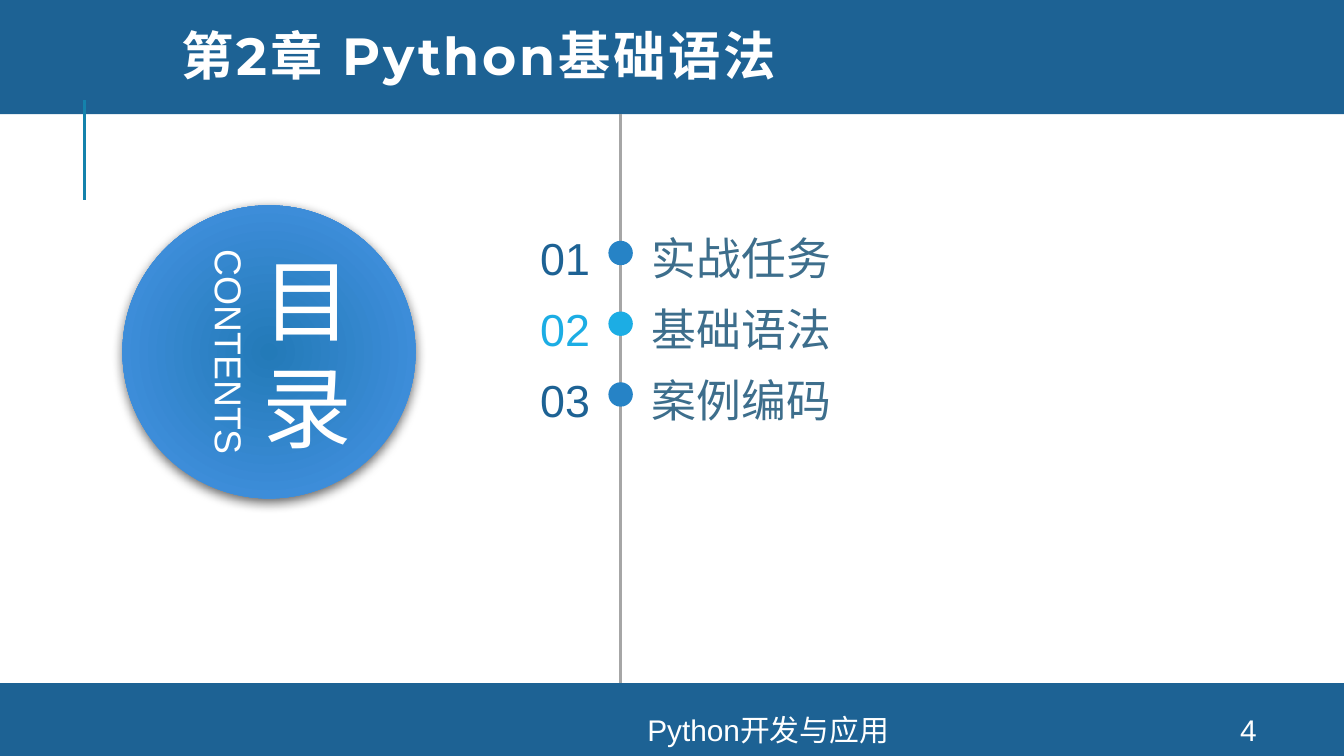
from lxml import etree
from pptx import Presentation
from pptx import util as u
from pptx.dml import color
from pptx.enum import shapes, text
from pptx.oxml import ns, parse_xml

Pt = u.Pt
COLORS = {
    "band": "1D6294",
    "tick": "1482AC",
    "spine": "A6A6A6",
    "dot": "2683C6",
    "active": "1CADE4",
    "label": "3D6E8C",
    "white": "FFFFFF",
    "inner": "237AB8",
    "outer": "4895E7",
    "shadow": "000000",
}
NAMESPACE = ns.nsdecls("a")
WIDTH, HEIGHT = 720, 405
SPINE_X = 332.5
HEADER_BOTTOM, FOOTER_TOP = 61.2, 366
ROW_TOP, ROW_PITCH = 123.7, 37.9
DOT_SIZE = 13.1
TOPICS = ["实战任务", "基础语法", "案例编码"]
ACTIVE_TOPIC = 2


def rgb(name):
    return color.RGBColor.from_string(COLORS[name])


def apply(target, values):
    for name, value in values.items():
        setattr(target, name, value)


def format_frame(frame, lines, size, fill, align, font="Arial", bold=False,
                 spacing=0, line_spacing=None, **frame_values):
    apply(frame, {"word_wrap": True, "auto_size": text.MSO_AUTO_SIZE.NONE, **frame_values})
    for index, line in enumerate(lines):
        para = frame.paragraphs[0] if index == 0 else frame.add_paragraph()
        apply(para, {"alignment": align, "line_spacing": line_spacing})
        span = para.add_run()
        span.text = line
        apply(span.font, {"size": Pt(size), "name": font, "bold": bold})
        span.font.color.rgb = rgb(fill)
        properties = span.font._element
        if spacing:
            properties.set("spc", str(int(spacing * 100)))
        etree.SubElement(properties, ns.qn("a:ea")).set("typeface", font)


def add_text(page, bounds, lines, size, fill, align, inset=None, rotation=0, **values):
    box = page.shapes.add_textbox(*map(Pt, bounds))
    box.rotation = rotation
    if inset is not None:
        sides = ("margin_left", "margin_top", "margin_right", "margin_bottom")
        apply(box.text_frame, dict.fromkeys(sides, Pt(inset)))
    format_frame(box.text_frame, lines, size, fill, align, **values)


def add_filled(page, kind, bounds, fill):
    shape = page.shapes.add_shape(kind, *map(Pt, bounds))
    shape.shadow.inherit = False
    shape.fill.solid()
    shape.fill.fore_color.rgb = rgb(fill)
    shape.line.fill.background()
    return shape


def add_vertical_line(page, x, top, bottom, fill):
    line = page.shapes.add_connector(
        shapes.MSO_CONNECTOR.STRAIGHT, Pt(x), Pt(top), Pt(x), Pt(bottom))
    line.line.width = Pt(1.5)
    line.line.color.rgb = rgb(fill)
    etree.SubElement(line._element.spPr, ns.qn("a:effectLst"))


def add_badge(page, bounds):
    badge = add_filled(page, shapes.MSO_SHAPE.OVAL, bounds, "outer")
    properties = badge._element.spPr
    gradient = parse_xml(
        f'<a:gradFill {NAMESPACE} rotWithShape="1"><a:gsLst>'
        f'<a:gs pos="0"><a:srgbClr val="{COLORS["inner"]}"/></a:gs>'
        f'<a:gs pos="100000"><a:srgbClr val="{COLORS["outer"]}"/></a:gs></a:gsLst>'
        '<a:path path="circle"><a:fillToRect l="50000" t="50000" r="50000" b="50000"/>'
        '</a:path></a:gradFill>')
    properties.replace(properties.find(ns.qn("a:solidFill")), gradient)
    shadow = parse_xml(
        f'<a:outerShdw {NAMESPACE} blurRad="{Pt(6)}" dist="{Pt(2)}" dir="5400000" '
        f'algn="t" rotWithShape="0"><a:srgbClr val="{COLORS["shadow"]}">'
        '<a:alpha val="60000"/></a:srgbClr></a:outerShdw>')
    properties.find(ns.qn("a:effectLst")).append(shadow)


def add_topic(page, number, label):
    top = ROW_TOP + (number - 1) * ROW_PITCH
    active = number == ACTIVE_TOPIC
    dot = (SPINE_X - DOT_SIZE / 2, top + 5.3, DOT_SIZE, DOT_SIZE)
    add_filled(page, shapes.MSO_SHAPE.OVAL, dot, "active" if active else "dot")
    add_text(page, (273.6, top, 42.5, 29), [f"{number:02d}"], 24,
             "active" if active else "band", text.PP_ALIGN.RIGHT, inset=0)
    add_text(page, (349.2, top, 242.6, 29), [label], 24, "label",
             text.PP_ALIGN.LEFT, inset=0)


def add_title(page, bounds, line):
    title = page.shapes.title
    apply(title, dict(zip(("left", "top", "width", "height"), map(Pt, bounds))))
    format_frame(title.text_frame, [line], 28, "white", text.PP_ALIGN.LEFT,
                 font="Montserrat", bold=True, spacing=1.5, line_spacing=0.8,
                 vertical_anchor=text.MSO_ANCHOR.MIDDLE)
    title.element.getparent().append(title.element)


def main():
    deck = Presentation()
    apply(deck, {"slide_width": Pt(WIDTH), "slide_height": Pt(HEIGHT)})
    page = deck.slides.add_slide(deck.slide_layouts.get_by_name("Title Only"))
    center, middle = text.PP_ALIGN.CENTER, text.MSO_ANCHOR.MIDDLE

    for top, bottom in ((-2, HEADER_BOTTOM), (FOOTER_TOP, HEIGHT)):
        add_filled(page, shapes.MSO_SHAPE.RECTANGLE, (0, top, WIDTH, bottom - top), "band")
    add_vertical_line(page, 45.2, 53.5, 107.2, "tick")
    add_vertical_line(page, SPINE_X, HEADER_BOTTOM, FOOTER_TOP, "spine")

    add_badge(page, (65.6, 110, 157, 157))
    add_text(page, (113.8, 116, 101.5, 145.4), ["目", "录"], 48, "white", center,
             inset=0, spacing=6, vertical_anchor=middle)
    add_text(page, (46.8, 172.8, 152, 31.7), ["CONTENTS"], 20, "white", center, rotation=90)

    for left, width, line in ((188, 447, "Python开发与应用"), (640, 57.6, "4")):
        add_text(page, (left, 382.3, width, 16.6), [line], 16, "white", center,
                 vertical_anchor=middle)
    for number, label in enumerate(TOPICS, 1):
        add_topic(page, number, label)
    add_title(page, (90, 6.5, 594.7, 51.8), "第2章 Python基础语法")
    deck.save("out.pptx")


if __name__ == "__main__":
    main()
